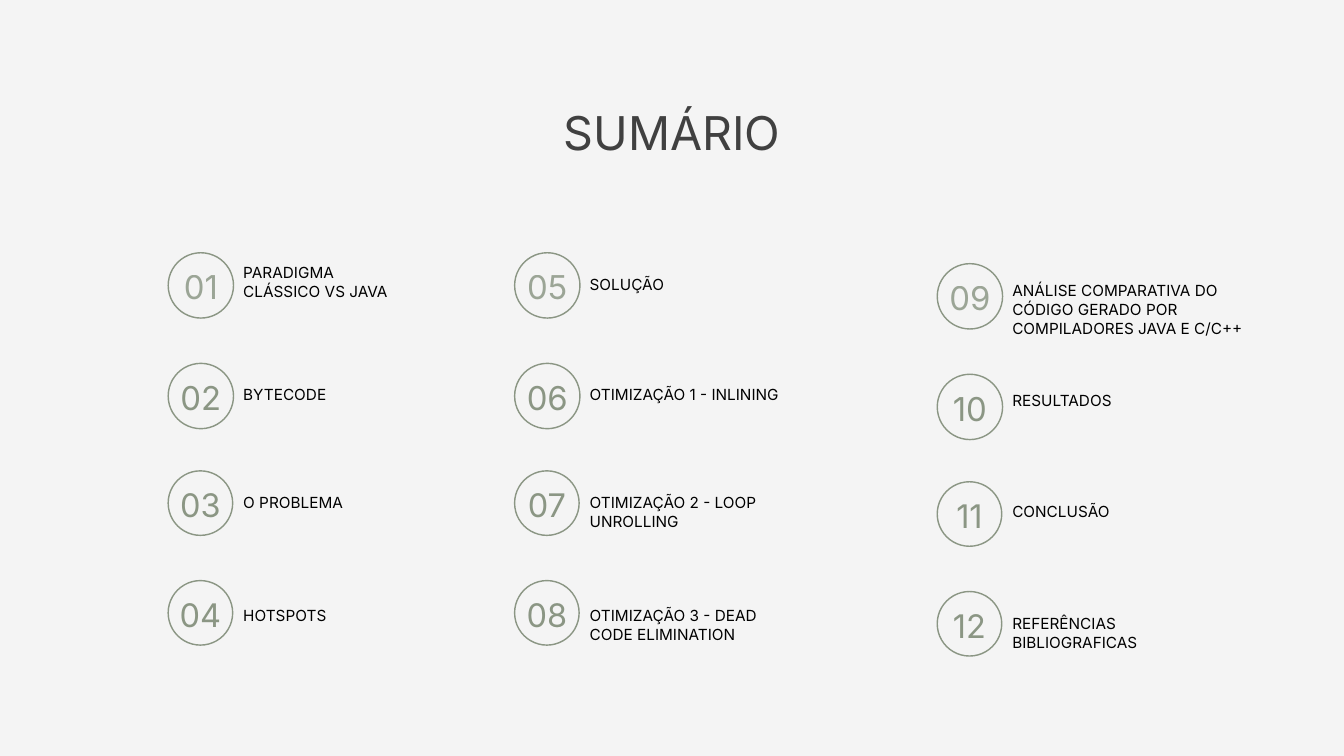
from dataclasses import dataclass

from lxml import etree
from pptx import Presentation
from pptx.dml.color import RGBColor
from pptx.enum.shapes import MSO_SHAPE
from pptx.enum.text import MSO_AUTO_SIZE, PP_ALIGN
from pptx.oxml.ns import qn
from pptx.slide import Slide
from pptx.text.text import _Run
from pptx.util import Pt

OVAL = MSO_SHAPE.OVAL
LEFT, CENTER = PP_ALIGN.LEFT, PP_ALIGN.CENTER
GROW = MSO_AUTO_SIZE.SHAPE_TO_FIT_TEXT


@dataclass(frozen=True)
class Theme:
    font: str = "Inter"
    background: RGBColor = RGBColor(0xF4, 0xF4, 0xF4)
    heading: RGBColor = RGBColor(0x40, 0x40, 0x40)
    label: RGBColor = RGBColor(0, 0, 0)
    sage: RGBColor = RGBColor(0x8B, 0x96, 0x84)
    heading_size: float = 49.9
    label_size: float = 16.4
    heading_spacing: float = 60.9
    label_spacing: float = 20.1
    outline: float = 1.5


@dataclass(frozen=True)
class Row:
    top: float
    diameter: float
    number_offset: float
    number_size: float
    number_spacing: float
    opacity: int = 100


@dataclass(frozen=True)
class Entry:
    label: str
    label_top: float
    lines: int = 1
    label_width: float = 213


@dataclass(frozen=True)
class Column:
    left: float
    drop: float
    entries: tuple[Entry, ...]


THEME = Theme()
LABEL_GAP = 80.4
ROWS = (
    Row(270.8, 70, 7.8, 35.2, 49.4, 83),
    Row(389.3, 70, 7.8, 35.2, 49.3),
    Row(504.5, 69.1, 8.6, 34.8, 48.7),
    Row(622.1, 69.1, 8.6, 34.8, 48.7),
)
COLUMNS = (
    Column(180.2, 0, (
        Entry("PARADIGMA CLÁSSICO VS JAVA", 281.5, 3, 157.7),
        Entry("BYTECODE", 412.6),
        Entry("O PROBLEMA", 527.8),
        Entry("HOTSPOTS", 649.4),
    )),
    Column(551.4, 0, (
        Entry("SOLUÇÃO", 294.5),
        Entry("OTIMIZAÇÃO 1 - INLINING", 412.6),
        Entry("OTIMIZAÇÃO 2 - LOOP UNROLLING", 527.8, 2),
        Entry("OTIMIZAÇÃO 3 - DEAD CODE ELIMINATION", 649.4, 2),
    )),
    Column(1004.2, 11.7, (
        Entry("ANÁLISE COMPARATIVA DO CÓDIGO GERADO POR COMPILADORES JAVA E C/C++", 301, 3, 248.4),
        Entry("RESULTADOS", 419),
        Entry("CONCLUSÃO", 537.8),
        Entry("REFERÊNCIAS BIBLIOGRAFICAS", 657.4, 2),
    )),
)


def add_text(slide: Slide, text: str, left: float, top: float, width: float, height: float,
             size: float, spacing: float, color: RGBColor, alignment: PP_ALIGN) -> _Run:
    """Add a one-run text box and return its run."""
    frame = slide.shapes.add_textbox(Pt(left), Pt(top), Pt(width), Pt(height)).text_frame
    frame.margin_left = frame.margin_top = frame.margin_right = frame.margin_bottom = 0
    frame.word_wrap = True
    frame.auto_size = GROW
    paragraph = frame.paragraphs[0]
    paragraph.alignment = alignment
    paragraph.line_spacing = Pt(spacing)
    run = paragraph.add_run()
    run.text = text
    run.font.name = THEME.font
    run.font.size = Pt(size)
    run.font.color.rgb = color
    return run


def set_opacity(run: _Run, percent: int) -> None:
    """Make the colour of a run partly transparent."""
    color = run.font.fill._xPr.find(qn("a:solidFill"))[0]
    etree.SubElement(color, qn("a:alpha")).set("val", str(percent * 1000))


def add_badge(slide: Slide, number: int, left: float, top: float, row: Row) -> None:
    """Draw a numbered circle."""
    circle = slide.shapes.add_shape(OVAL, Pt(left), Pt(top), Pt(row.diameter), Pt(row.diameter))
    circle.shadow.inherit = False
    circle.fill.background()
    circle.line.color.rgb = THEME.sage
    circle.line.width = Pt(THEME.outline)
    run = add_text(slide, f"{number:02d}", left, top + row.number_offset, row.diameter,
                   row.number_spacing, row.number_size, row.number_spacing, THEME.sage, CENTER)
    if row.opacity < 100:
        set_opacity(run, row.opacity)


def add_column(slide: Slide, column: Column, first_number: int) -> None:
    """Draw the badges and labels of one column."""
    for number, (row, entry) in enumerate(zip(ROWS, column.entries), first_number):
        add_badge(slide, number, column.left, row.top + column.drop, row)
        add_text(slide, entry.label, column.left + LABEL_GAP, entry.label_top, entry.label_width,
                 entry.lines * THEME.label_spacing, THEME.label_size, THEME.label_spacing,
                 THEME.label, LEFT)


def main() -> None:
    """Build and save the summary slide."""
    presentation = Presentation()
    presentation.slide_width, presentation.slide_height = Pt(1440), Pt(810)
    slide = presentation.slides.add_slide(presentation.slide_layouts[6])
    slide.background.fill.solid()
    slide.background.fill.fore_color.rgb = THEME.background
    add_text(slide, "SUMÁRIO", 396.7, 110.9, 646.6, 60.5, THEME.heading_size,
             THEME.heading_spacing, THEME.heading, CENTER)
    for index, column in enumerate(COLUMNS):
        add_column(slide, column, index * len(ROWS) + 1)
    presentation.save("out.pptx")


if __name__ == "__main__":
    main()
